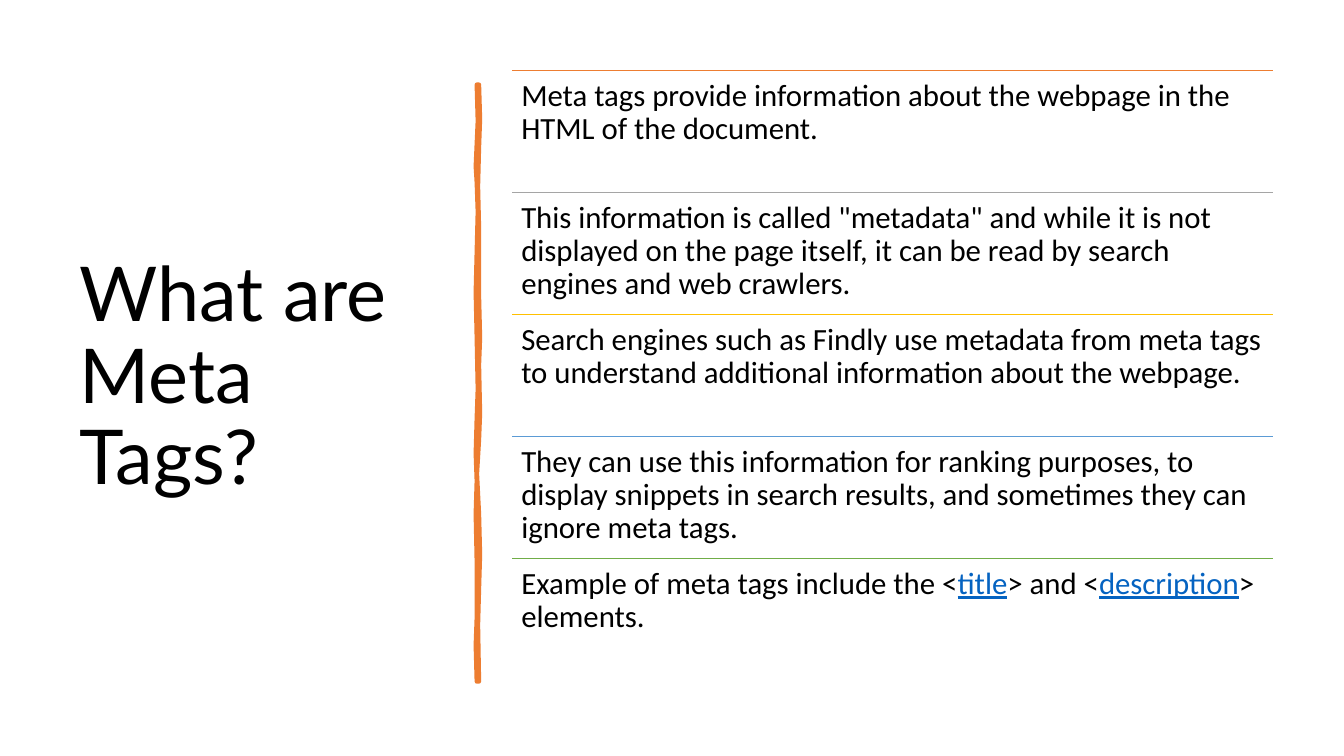
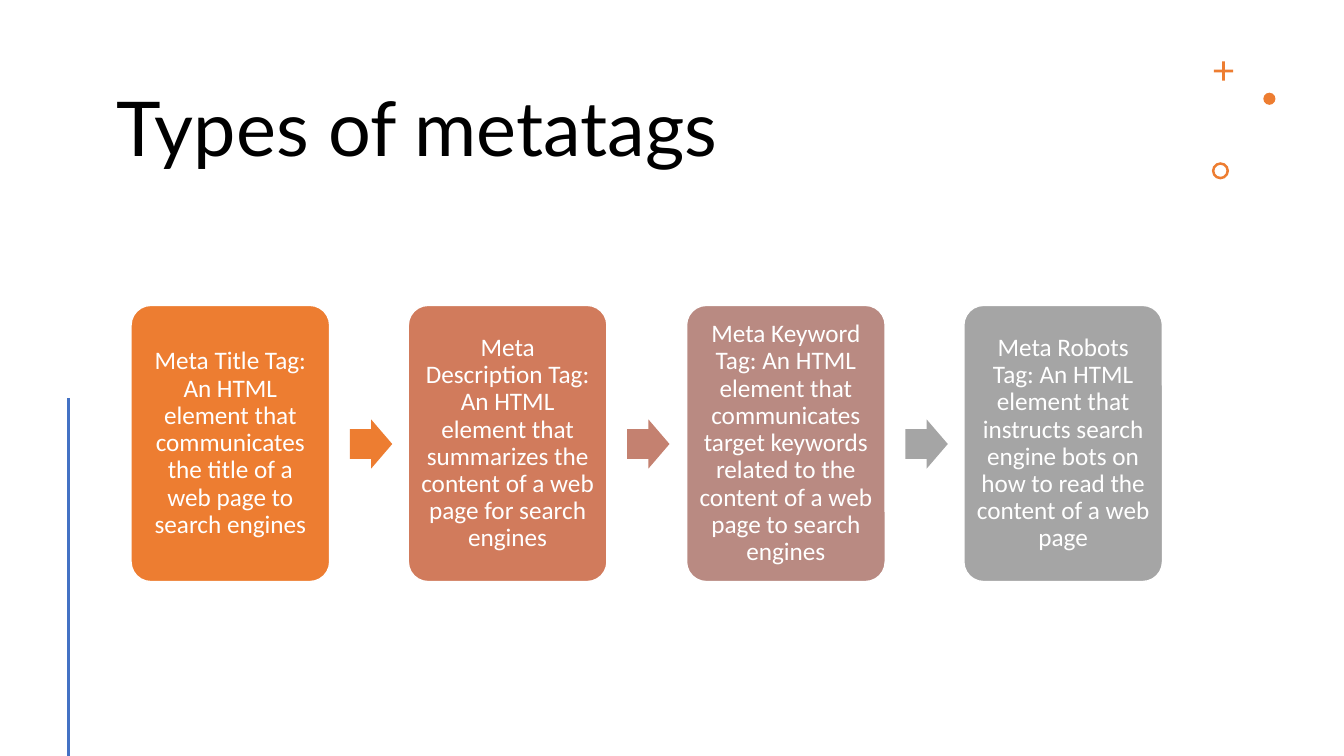
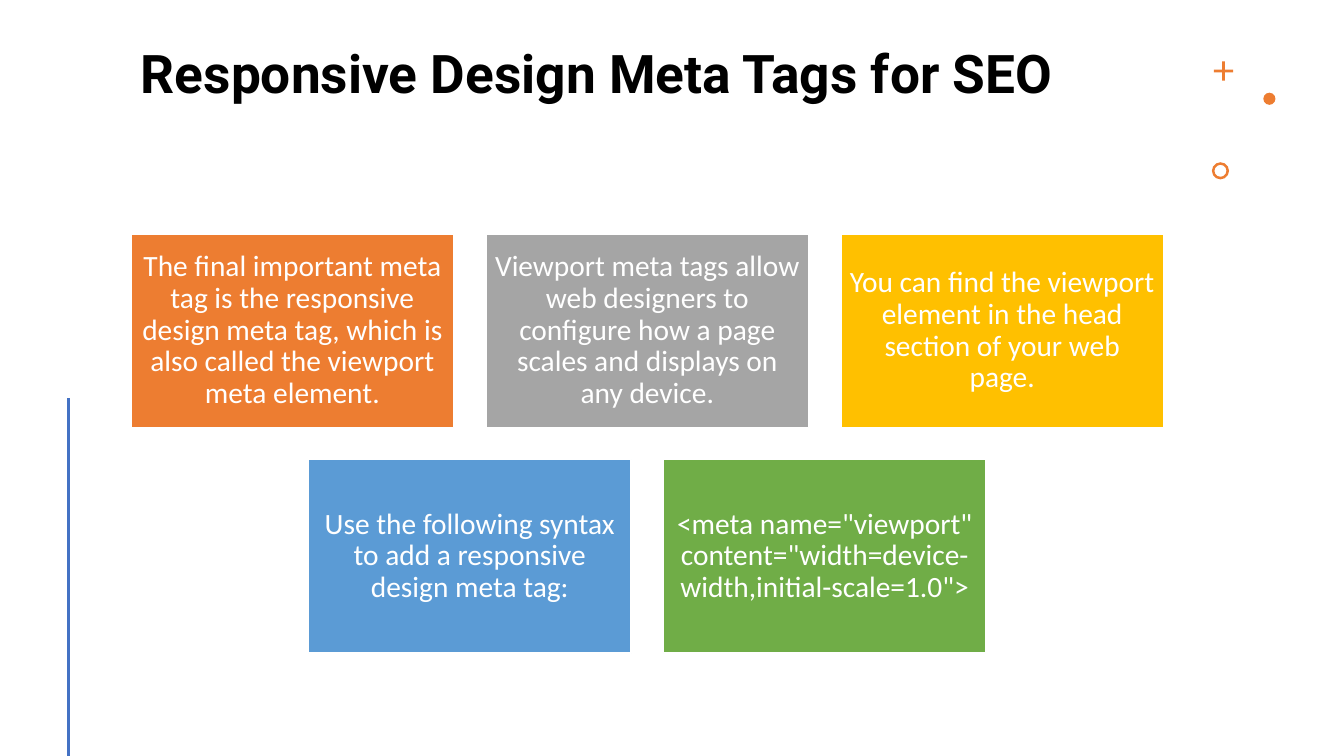
from dataclasses import dataclass

from lxml.etree import SubElement
from pptx import Presentation
from pptx.dml.color import RGBColor
from pptx.enum.shapes import MSO_CONNECTOR, MSO_SHAPE as Preset
from pptx.enum.text import MSO_ANCHOR as Anchor, PP_ALIGN as Align
from pptx.oxml.ns import qn
from pptx.util import Emu, Pt

# Shared scale, colours and fonts
PX = 9144  # EMU per px, 100 px to the inch
SLIDE_WIDTH, SLIDE_HEIGHT = 1333, 750
BLACK, WHITE = "000000", "FFFFFF"
ORANGE, GRAY, GOLD = "ED7D31", "A5A5A5", "FFC000"
SKY, GREEN, BLUE, LINK = "5B9BD5", "70AD47", "4472C4", "0563C1"
ACCENTS = (ORANGE, GRAY, GOLD, SKY, GREEN)
BODY_FONT = "Calibri"


@dataclass(frozen=True)
class Area:
    left: int
    top: int
    width: int
    height: int

    def emu(self) -> tuple:
        return tuple(px(n) for n in (self.left, self.top, self.width, self.height))


@dataclass(frozen=True)
class TextStyle:
    size: int
    color: str = BLACK
    font: str = BODY_FONT
    bold: bool = False
    align: Align = Align.LEFT
    anchor: Anchor = Anchor.TOP
    inset_x: int = 9
    inset_y: int = 9


@dataclass(frozen=True)
class Step:
    text: str
    color: str
    arrow_color: str = ""


def px(length: int) -> Emu:
    return Emu(length * PX)


def rgb(value: str) -> RGBColor:
    return RGBColor.from_string(value)


# Drawing helpers
def format_span(span, style: TextStyle) -> None:
    span.font.name = style.font
    span.font.size = Pt(style.size)
    span.font.bold = style.bold
    span.font.color.rgb = rgb(style.color)


def set_text(shape, text: str, style: TextStyle):
    frame = shape.text_frame
    frame.text = text
    frame.word_wrap = True
    frame.vertical_anchor = style.anchor
    frame.margin_left = frame.margin_right = px(style.inset_x)
    frame.margin_top = frame.margin_bottom = px(style.inset_y)
    para = frame.paragraphs[0]
    para.alignment = style.align
    para.line_spacing = 0.9
    for span in para.runs:
        format_span(span, style)
    return para


def add_text(page, area: Area, text: str, style: TextStyle):
    return set_text(page.shapes.add_textbox(*area.emu()), text, style)


def add_title(page, area: Area, text: str, size: int = 54, font: str = "Lato",
              bold: bool = False, anchor: Anchor = Anchor.TOP) -> None:
    style = TextStyle(size, font=font, bold=bold, anchor=anchor, inset_x=10, inset_y=5)
    add_text(page, area, text, style)


def paint(shape, fill: str, line: str = "", width: float = 1) -> None:
    shape.shadow.inherit = False
    shape.fill.solid()
    shape.fill.fore_color.rgb = rgb(fill)
    if line:
        shape.line.color.rgb = rgb(line)
        shape.line.width = Pt(width)
    else:
        shape.line.fill.background()


def add_shape(page, preset: Preset, area: Area, fill: str, line: str = "",
              adjust: tuple = ()):
    shape = page.shapes.add_shape(preset, *area.emu())
    for index, value in enumerate(adjust):
        shape.adjustments[index] = value
    paint(shape, fill, line)
    return shape


def add_line(page, start: tuple, end: tuple, color: str, width: float) -> None:
    ends = [px(n) for n in start + end]
    line = page.shapes.add_connector(MSO_CONNECTOR.STRAIGHT, *ends)
    line.line.color.rgb = rgb(color)
    line.line.width = Pt(width)
    SubElement(line._element.spPr, qn("a:effectLst"))


def add_decoration(page) -> None:
    """Plus, dot and ring at the top right, and the rule at the lower left."""
    add_shape(page, Preset.CROSS, Area(1204, 61, 19, 19), ORANGE, adjust=(0.43,))
    add_shape(page, Preset.OVAL, Area(1253, 92, 12, 12), ORANGE)
    add_shape(page, Preset.DONUT, Area(1202, 161, 17, 17), ORANGE, adjust=(0.15,))
    add_line(page, (68, 395), (68, SLIDE_HEIGHT), BLUE, 2)


# Slide 1: definition rows beside a hand-drawn rule
BRUSH_EDGE = (
    (475, 84), (476, 118), (475, 146), (474, 185), (475, 226), (475, 294),
    (476, 335), (475, 362), (476, 410), (475, 436), (473, 470), (475, 510),
    (476, 550), (475, 584), (474, 620), (475, 676),
    (473, 676), (472, 640), (473, 613), (473, 557), (472, 510), (473, 477),
    (472, 450), (473, 415), (474, 386), (473, 335), (472, 290), (473, 250),
    (474, 210), (473, 181), (472, 165), (474, 120), (473, 84),
)
ROWS = (
    ("Meta tags provide information about the webpage in the HTML of the document.",),
    ('This information is called "metadata" and while it is not displayed on the '
     "page itself, it can be read by search engines and web crawlers.",),
    ("Search engines such as Findly use metadata from meta tags to understand "
     "additional information about the webpage.",),
    ("They can use this information for ranking purposes, to display snippets in "
     "search results, and sometimes they can ignore meta tags.",),
    ("Example of meta tags include the <", "title", "> and <", "description",
     "> elements."),
)


def add_definition_slide(page) -> None:
    add_title(page, Area(69, 70, 374, 611), "What are Meta Tags?", anchor=Anchor.MIDDLE)

    builder = page.shapes.build_freeform(*BRUSH_EDGE[0], scale=PX)
    builder.add_line_segments(BRUSH_EDGE[1:], close=True)
    paint(builder.convert_to_shape(), ORANGE, ORANGE, 3.25)

    left, top, width, height = 508, 70, 755, 121
    plain, linked = TextStyle(22), TextStyle(22, LINK)
    for index, (spans, color) in enumerate(zip(ROWS, ACCENTS)):
        y = top + index * height
        add_line(page, (left, y), (left + width, y), color, 1)
        para = add_text(page, Area(left, y, width, height), spans[0], plain)
        # Every second span looks like a link
        for position, text in enumerate(spans[1:], start=1):
            is_link = position % 2 == 1
            span = para.add_run()
            span.text = text
            format_span(span, linked if is_link else plain)
            span.font.underline = is_link


# Slide 2: four steps joined by arrows
STEPS = (
    Step("Meta Title Tag: An HTML element that communicates the title of a web page "
         "to search engines", ORANGE, ORANGE),
    Step("Meta Description Tag: An HTML element that summarizes the content of a web "
         "page for search engines", "D17B5C", "C48170"),
    Step("Meta Keyword Tag: An HTML element that communicates target keywords related "
         "to the content of a web page to search engines", "B98A82", GRAY),
    Step("Meta Robots Tag: An HTML element that instructs search engine bots on how "
         "to read the content of a web page", GRAY),
)


def add_types_slide(page) -> None:
    add_title(page, Area(106, 86, 1023, 88), "Types of metatags")
    add_decoration(page)

    left, span_width, card_width = 130, 1023, 197
    style = TextStyle(18, WHITE, align=Align.CENTER, anchor=Anchor.MIDDLE,
                      inset_x=7, inset_y=7)
    for index, step in enumerate(STEPS):
        x = left + round(index * (span_width - card_width) / (len(STEPS) - 1))
        card = add_shape(page, Preset.ROUNDED_RECTANGLE, Area(x, 303, card_width, 274),
                         step.color, WHITE, (0.1,))
        set_text(card, step.text, style)
        if step.arrow_color:
            add_shape(page, Preset.RIGHT_ARROW, Area(x + card_width + 20, 416, 42, 49),
                      step.arrow_color, adjust=(0.6, 0.5))


# Slide 3: tiles in two centred rows
TILES = (
    "The final important meta tag is the responsive design meta tag, which is also "
    "called the viewport meta element.",
    "Viewport meta tags allow web designers to configure how a page scales and "
    "displays on any device.",
    "You can find the viewport element in the head section of your web page.",
    "Use the following syntax to add a responsive design meta tag:",
    '<meta name="viewport" content="width=device-width,initial-scale=1.0">',
)


def add_responsive_slide(page) -> None:
    add_title(page, Area(130, 42, 1023, 131), "Responsive Design Meta Tags for SEO",
              38, "Roboto", True)
    add_decoration(page)

    left, top, width, height, gap, columns = 130, 232, 320, 192, 32, 3
    style = TextStyle(21, WHITE, align=Align.CENTER, anchor=Anchor.MIDDLE)
    for index, (text, color) in enumerate(zip(TILES, ACCENTS)):
        row, column = divmod(index, columns)
        in_row = min(columns, len(TILES) - row * columns)
        indent = (columns - in_row) * (width + gap) // 2
        area = Area(left + indent + column * (width + gap),
                    top + row * (height + gap), width, height)
        set_text(add_shape(page, Preset.RECTANGLE, area, color, WHITE), text, style)


def main() -> None:
    deck = Presentation()
    deck.slide_width, deck.slide_height = px(SLIDE_WIDTH), px(SLIDE_HEIGHT)
    blank = deck.slide_layouts[6]
    for build in (add_definition_slide, add_types_slide, add_responsive_slide):
        build(deck.slides.add_slide(blank))
    deck.save("out.pptx")


if __name__ == "__main__":
    main()
